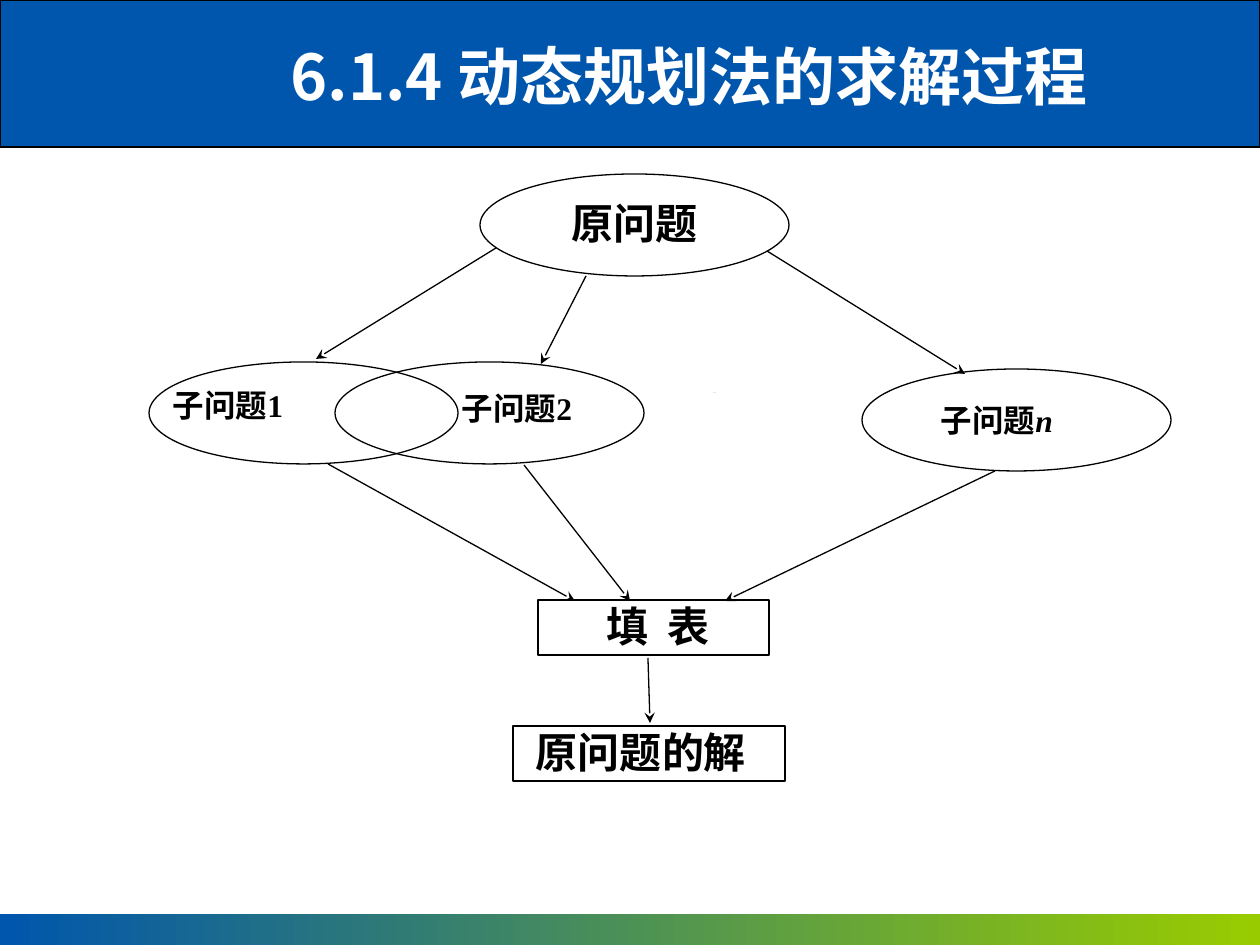
from dataclasses import dataclass

from lxml.etree import SubElement
from pptx import Presentation
from pptx.dml.color import RGBColor
from pptx.enum.shapes import MSO_CONNECTOR, MSO_SHAPE
from pptx.enum.text import MSO_ANCHOR, PP_ALIGN
from pptx.oxml.ns import qn
from pptx.util import Emu, Pt

SCALE = 914400 / 126


@dataclass(frozen=True)
class Theme:
    blue: RGBColor = RGBColor(0x00, 0x56, 0xAC)
    green: RGBColor = RGBColor(0x99, 0xCC, 0x00)
    black: RGBColor = RGBColor(0, 0, 0)
    white: RGBColor = RGBColor(255, 255, 255)
    sans: str = "Noto Sans CJK SC"
    serif: str = "Times New Roman"
    title: float = 36
    node: float = 24
    label: float = 18
    dots: float = 1
    line: float = 0.75


THEME = Theme()


def px(length):
    return Emu(round(length * SCALE))


def within(box, left, top, width, height):
    return box[0] + left, box[1] + top, width, height


def apply(target, values):
    for name, value in values.items():
        setattr(target, name, value)


def write(shape, spans, size, font=THEME.serif, color=THEME.black,
          align=PP_ALIGN.CENTER, anchor=MSO_ANCHOR.TOP, insets=(0, 0, 0, 0), spacing=None):
    """Each span is a text and a dict of extra font values."""
    frame = shape.text_frame
    sides = ("margin_left", "margin_top", "margin_right", "margin_bottom")
    apply(frame, {"word_wrap": True, "vertical_anchor": anchor,
                  **{side: px(inset) for side, inset in zip(sides, insets)}})
    para = frame.paragraphs[0]
    apply(para, {"alignment": align, "line_spacing": spacing})
    for text, extra in spans:
        span = para.add_run()
        span.text = text
        apply(span.font, {"size": Pt(size), "name": font, "bold": True, **extra})
        span.font.color.rgb = color
        SubElement(span.font._element, qn("a:ea")).set("typeface", THEME.sans)


def add_outline(page, kind, box):
    shape = page.shapes.add_shape(kind, *map(px, box))
    shape.shadow.inherit = False
    shape.fill.background()
    shape.line.color.rgb = THEME.black
    shape.line.width = Pt(THEME.line)
    return shape


def add_arrow(page, box, left, top, right, bottom):
    ends = (box[0] + left, box[1] + top, box[0] + right, box[1] + bottom)
    arrow = page.shapes.add_connector(MSO_CONNECTOR.STRAIGHT, *map(px, ends))
    arrow.line.color.rgb = THEME.black
    arrow.line.width = Pt(THEME.line)
    SubElement(arrow.line._get_or_add_ln(), qn("a:tailEnd")).set("type", "stealth")
    SubElement(arrow.element.spPr, qn("a:effectLst"))


def add_label(page, box, spans, size=THEME.label, **values):
    label = page.shapes.add_textbox(*map(px, box))
    write(label, spans, size, align=PP_ALIGN.JUSTIFY, **values)


def add_header(page, box, text):
    band = add_outline(page, MSO_SHAPE.RECTANGLE, box)
    band.fill.solid()
    band.fill.fore_color.rgb = THEME.blue
    title = page.shapes.title
    band.element.addnext(title.element)
    places = map(px, within(box, 223, 30, 932, 90))
    apply(title, dict(zip(("left", "top", "width", "height"), places)))
    write(title, [(text, {})], THEME.title, THEME.sans, THEME.white,
          anchor=MSO_ANCHOR.MIDDLE, insets=(13, 6, 13, 6))


def add_footer(page, box):
    strip = add_outline(page, MSO_SHAPE.RECTANGLE, box)
    strip.line.fill.background()
    strip.fill.gradient()
    strip.fill.gradient_angle = 0
    for stop, color, position in zip(strip.fill.gradient_stops, (THEME.blue, THEME.green), (0, 1)):
        stop.color.rgb = color
        stop.position = position


def add_diagram(page, box):
    # Original problem and its subproblems
    problem, *_ = [add_outline(page, MSO_SHAPE.OVAL, within(box, left, top, 309, 102))
                   for left, top in ((331, 0), (0, 188), (186, 188), (713, 195))]
    write(problem, [("原问题", {})], THEME.node, insets=(0, 3, 0, 0), spacing=1.12)

    # Subproblem labels
    for left, top, spans in ((24, 219, [("子问题1", {})]),
                             (313, 222, [("子问题2", {})]),
                             (792, 234, [("子问题", {}), ("n", {"italic": True})])):
        add_label(page, within(box, left, top, 161, 37), spans, spacing=0.8)
    add_label(page, within(box, 559, 218, 131, 55), [("……", {})], THEME.dots,
              insets=(5, 0, 5, 1))

    # Table filling and solution
    table = add_outline(page, MSO_SHAPE.RECTANGLE, within(box, 389, 426, 231, 55))
    write(table, [("填 表", {})], THEME.node, THEME.sans, insets=(14, 0, 5, 1))
    # Widen the gap between the two characters
    table.text_frame.paragraphs[0].runs[0].font._element.set("spc", "270")
    answer = add_outline(page, MSO_SHAPE.RECTANGLE, within(box, 364, 552, 272, 55))
    write(answer, [("原问题的解", {})], THEME.node, align=PP_ALIGN.JUSTIFY,
          insets=(23, 0, 5, 1))

    # Arrows: divide, fill, solve
    for ends in ((347, 74, 167, 185), (437, 102, 392, 190), (618, 77, 816, 200),
                 (179, 290, 426, 427), (375, 291, 481, 427), (846, 297, 576, 427),
                 (499, 484, 501, 549)):
        add_arrow(page, box, *ends)


deck = Presentation()
deck.slide_width, deck.slide_height = px(1260), px(945)
page = deck.slides.add_slide(deck.slide_layouts[5])
add_header(page, (0, 0, 1260, 147), "6.1.4 动态规划法的求解过程")
add_footer(page, (0, 914, 1260, 31))
add_diagram(page, (149, 174, 1022, 607))
deck.save("out.pptx")
